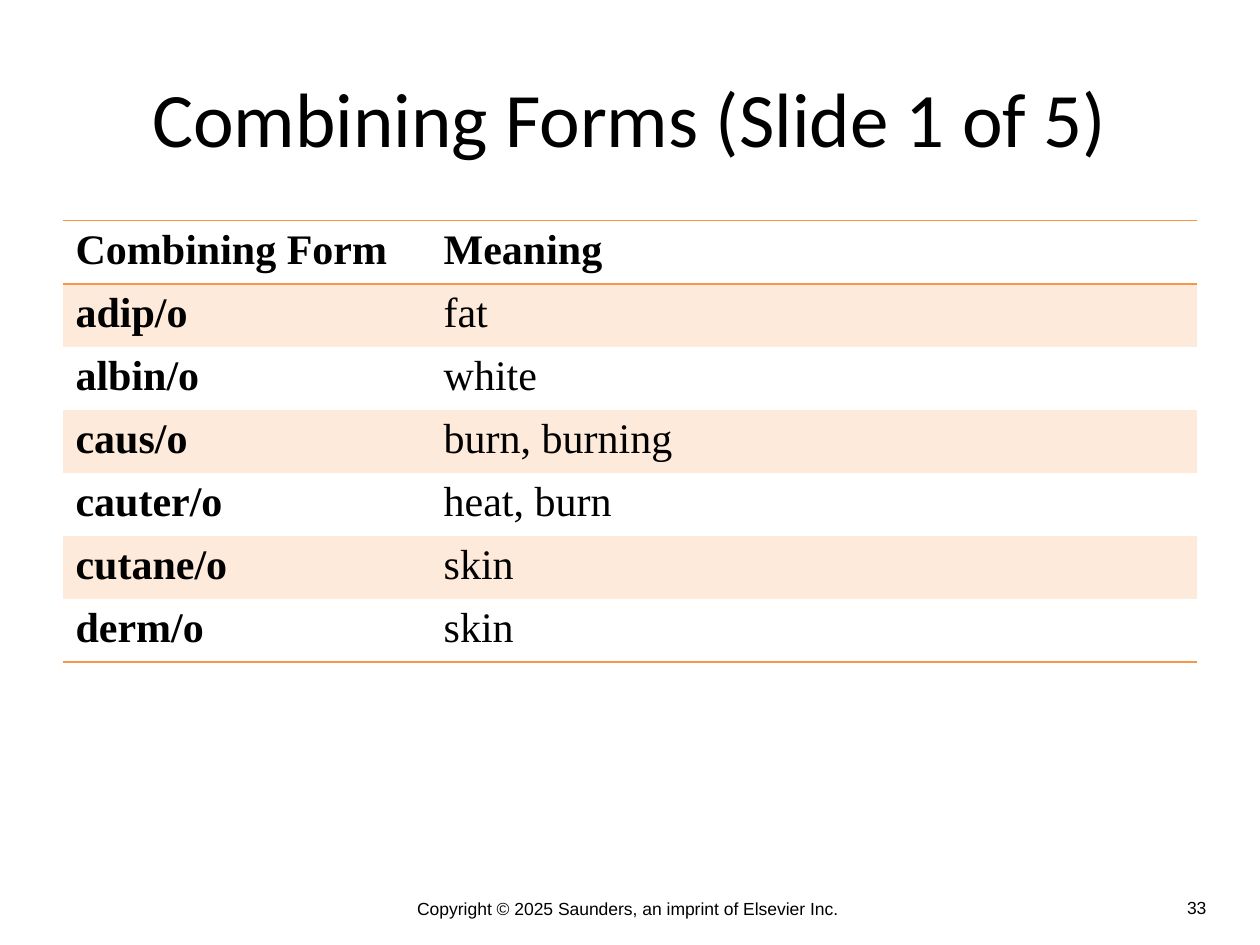
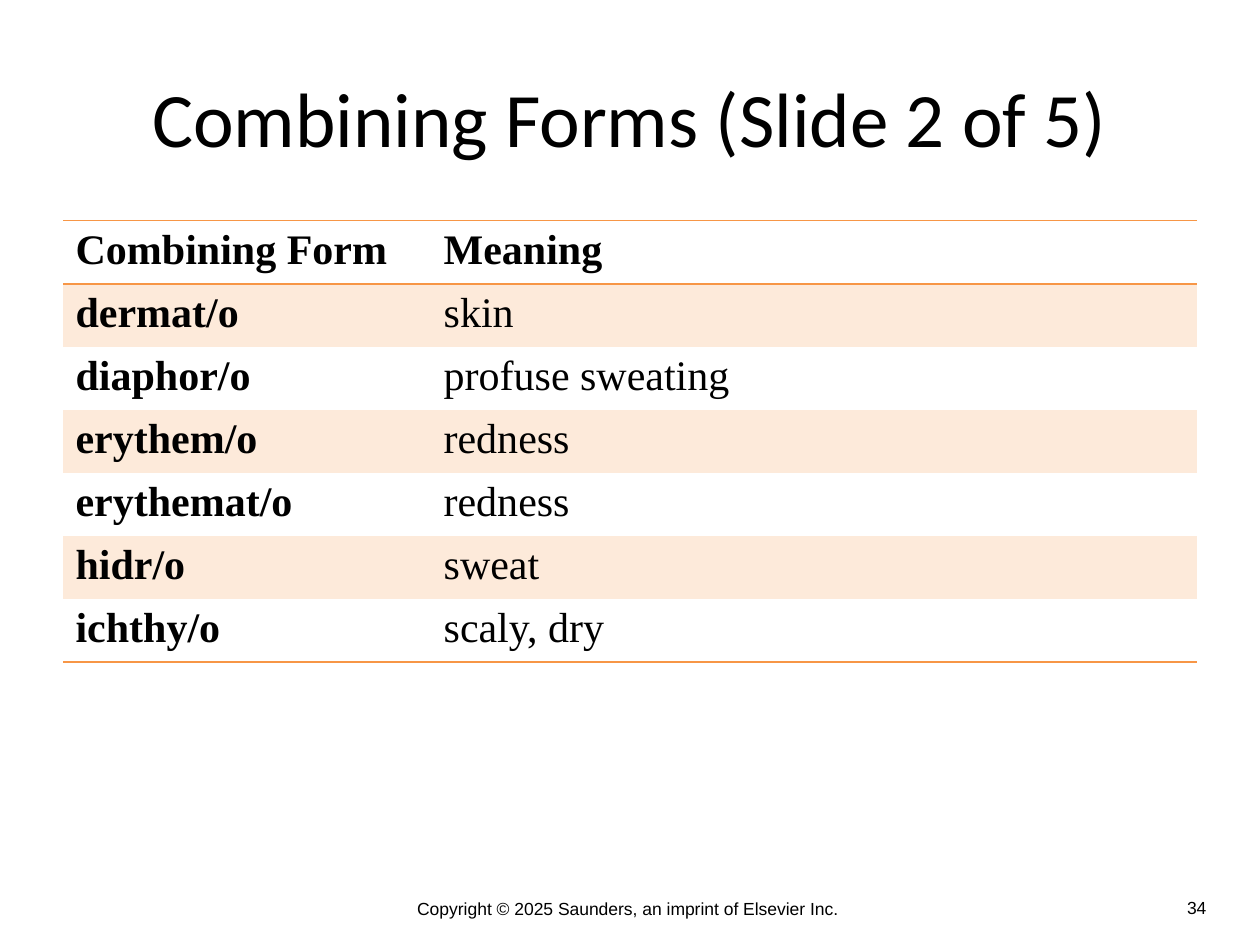
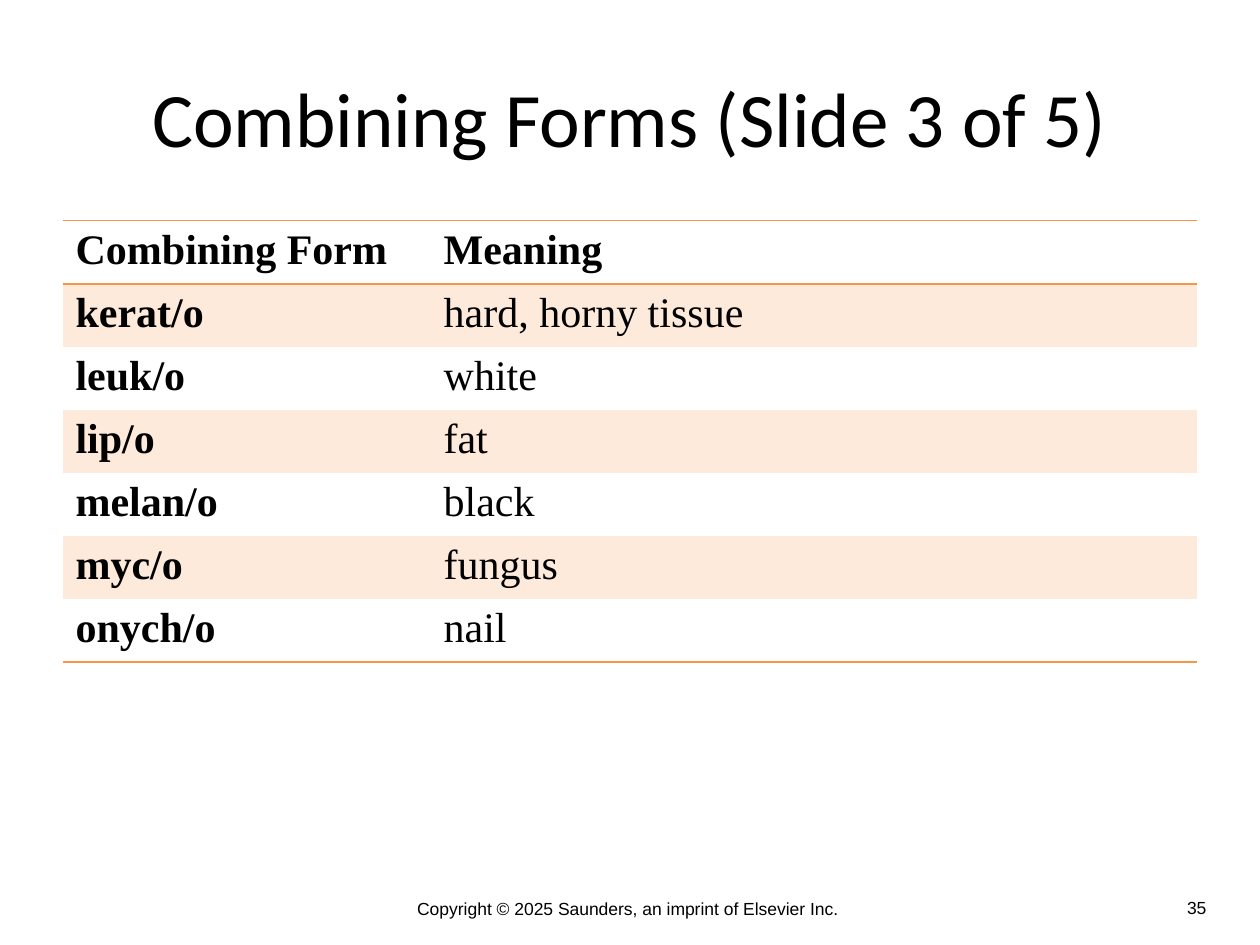
from pptx import Presentation
from pptx.dml.color import RGBColor
from pptx.enum.text import MSO_ANCHOR as Anchor, PP_ALIGN as Align
from pptx.oxml import parse_xml
from pptx.oxml.ns import nsdecls, qn
from pptx.util import Cm, Pt

# Shared look
BLACK = RGBColor(0x00, 0x00, 0x00)
WHITE = RGBColor(0xFF, 0xFF, 0xFF)
ORANGE = RGBColor(0xF7, 0x96, 0x46)
PEACH = RGBColor(0xFD, 0xEA, 0xDA)
PLAIN = "{2D5ABB26-0587-4C30-8999-92F81FD0307C}"  # no style, no grid
NOTICE = "Copyright © 2025 Saunders, an imprint of Elsevier Inc. "
FIRST = 33
TOTAL = 5

# Table content, one list per slide
HEAD = ("Combining Form", "Meaning")
FORMS = [
    [("adip/o", "fat"), ("albin/o", "white"), ("caus/o", "burn, burning"),
     ("cauter/o", "heat, burn"), ("cutane/o", "skin"), ("derm/o", "skin")],
    [("dermat/o", "skin"), ("diaphor/o", "profuse sweating"),
     ("erythem/o", "redness"), ("erythemat/o", "redness"),
     ("hidr/o", "sweat"), ("ichthy/o", "scaly, dry")],
    [("kerat/o", "hard, horny tissue"), ("leuk/o", "white"),
     ("lip/o", "fat"), ("melan/o", "black"), ("myc/o", "fungus"),
     ("onych/o", "nail")],
]


def style(para, face, size, bold=False):
    font = para.font
    font.name, font.size, font.bold = face, Pt(size), bold
    font.color.rgb = BLACK


def add_text(slide, text, box, face, size, align, anchor=Anchor.TOP):
    frame = slide.shapes.add_textbox(*map(Cm, box)).text_frame
    frame.word_wrap = True
    frame.vertical_anchor = anchor
    para = frame.paragraphs[0]
    para.text = text
    para.alignment = align
    style(para, face, size)


def add_rule(cell, side):
    """Draw a thin orange border on side T or B of a cell."""
    cell._tc.get_or_add_tcPr().append(parse_xml(
        f'<a:ln{side} {nsdecls("a")} w="{Pt(1)}"><a:solidFill>'
        f'<a:srgbClr val="{ORANGE}"/></a:solidFill></a:ln{side}>'))


def add_forms(slide, forms):
    rows = [HEAD, *forms]
    last = len(rows) - 1
    high = Cm(1.19)
    table = slide.shapes.add_table(
        len(rows), 2, Cm(1.27), Cm(4.45), Cm(22.86), high * len(rows)).table
    table._tbl.tblPr.find(qn("a:tableStyleId")).text = PLAIN
    table.first_row = table.horz_banding = False
    for col, width in zip(table.columns, (7.42, 15.44)):
        col.width = Cm(width)
    for r, row in enumerate(rows):
        table.rows[r].height = high
        for c, text in enumerate(row):
            cell = table.cell(r, c)
            cell.text = text
            style(cell.text_frame.paragraphs[0], "Times New Roman", 24,
                  bold=r == 0 or c == 0)
            if r == 0:
                add_rule(cell, "T")
            if r in (0, last):
                add_rule(cell, "B")
            if r % 2:
                cell.fill.solid()
                cell.fill.fore_color.rgb = PEACH
            else:
                cell.fill.background()


def add_foot(slide, page):
    add_text(slide, NOTICE, (1.9, 17.98, 21.6, 1.07), "Arial", 10,
             Align.CENTER)
    add_text(slide, str(page), (21.39, 17.95, 3.18, 0.69), "Arial", 10,
             Align.RIGHT)


def main():
    deck = Presentation()
    deck.slide_width, deck.slide_height = Cm(25.4), Cm(19.05)
    for i, forms in enumerate(FORMS):
        slide = deck.slides.add_slide(deck.slide_layouts[6])
        slide.background.fill.solid()
        slide.background.fill.fore_color.rgb = WHITE
        add_foot(slide, FIRST + i)
        add_text(slide, f"Combining Forms (Slide {i + 1} of {TOTAL})",
                 (1.27, 0.76, 22.86, 3.18), "Calibri", 44, Align.CENTER,
                 Anchor.MIDDLE)
        add_forms(slide, forms)
    deck.save("out.pptx")


if __name__ == "__main__":
    main()
